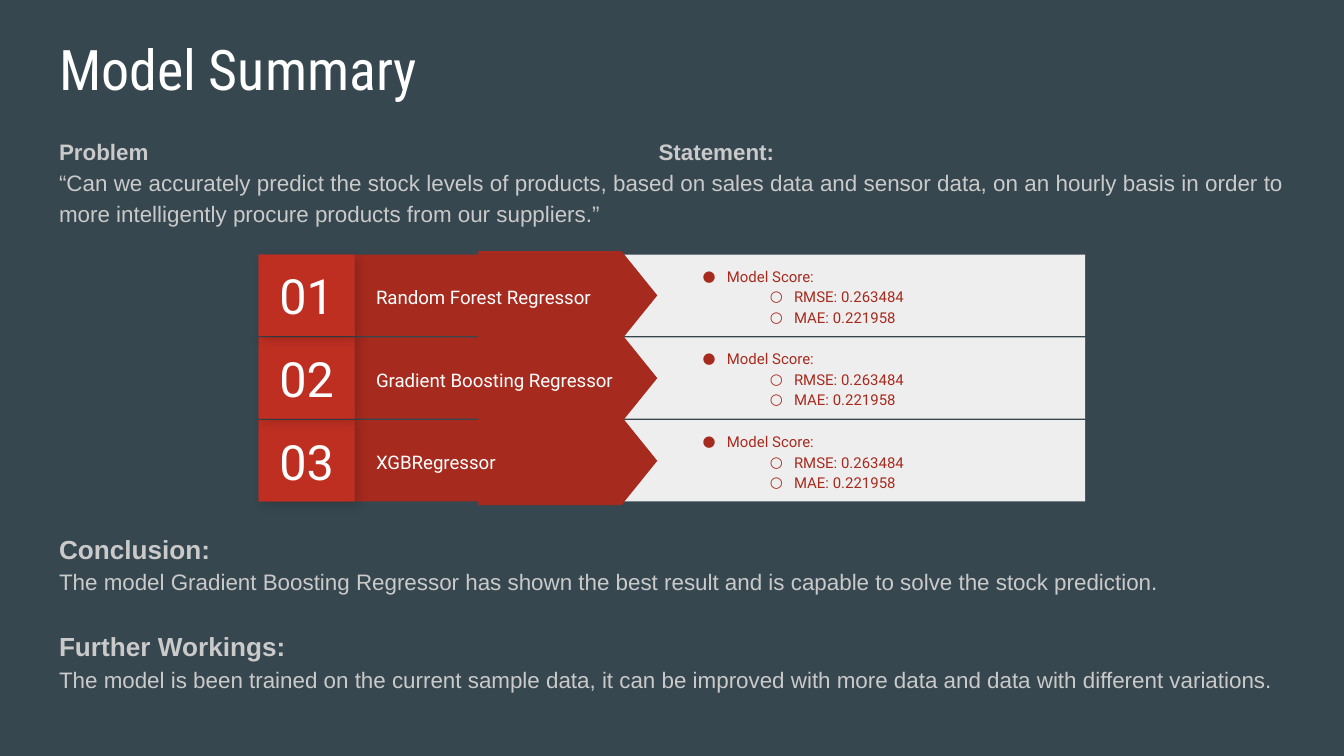
from dataclasses import dataclass

from lxml import etree
from pptx import Presentation
from pptx.dml.color import RGBColor
from pptx.enum.shapes import MSO_SHAPE
from pptx.enum.text import MSO_ANCHOR, PP_ALIGN
from pptx.oxml.ns import qn
from pptx.util import Inches, Pt

RECT = MSO_SHAPE.RECTANGLE
ARROW = MSO_SHAPE.FLOWCHART_OFFPAGE_CONNECTOR
TOP, MIDDLE = MSO_ANCHOR.TOP, MSO_ANCHOR.MIDDLE
LEFT, CENTER, JUSTIFY = PP_ALIGN.LEFT, PP_ALIGN.CENTER, PP_ALIGN.JUSTIFY

WIDTH = Inches(10)
HEIGHT = WIDTH * 9 // 16
# Vertical shares of the slide, in percent
FIRST, STEP, TALL = 33.7, 10.94, 10.75


@dataclass(frozen=True)
class Theme:
    back: str = "37474F"
    white: str = "FFFFFF"
    gray: str = "CACACA"
    pale: str = "EEEEEE"
    red: str = "A72A1E"
    shade: str = "B02C20"
    bright: str = "BE2F22"
    head: str = "Roboto Condensed"
    body: str = "Arial"
    font: str = "Roboto"
    title: int = 30
    digit: int = 26
    topic: int = 14
    prose: int = 12
    label: int = 10
    score: int = 8


THEME = Theme()
MODELS = ["Random Forest Regressor", "Gradient Boosting Regressor", "XGBRegressor"]
SCORES = ["Model Score:", "RMSE: 0.263484", "MAE: 0.221958"]


def place(x, y, w, h):
    """Turn percent shares of the slide into lengths."""
    return [int(side * share / 100) for side, share in
            zip((WIDTH, HEIGHT, WIDTH, HEIGHT), (x, y, w, h))]


def add_box(slide, *area, anchor=TOP):
    frame = slide.shapes.add_textbox(*place(*area)).text_frame
    return set_frame(frame, anchor)


def set_frame(frame, anchor):
    frame.word_wrap = True
    frame.vertical_anchor = anchor
    frame.margin_left = frame.margin_right = Inches(0.1)
    frame.margin_top = frame.margin_bottom = Inches(0.1)
    return frame


def add_shape(slide, kind, color, *area):
    shape = slide.shapes.add_shape(kind, *place(*area))
    shape.shadow.inherit = False
    shape.fill.solid()
    shape.fill.fore_color.rgb = RGBColor.from_string(color)
    shape.line.fill.background()
    return shape


def write(frame, text, size, color, font=THEME.font, bold=False,
          align=LEFT, lines=1.15, before=0):
    """Add a paragraph, using the empty first one when it is free."""
    para = frame.paragraphs[0]
    if para.runs:
        para = frame.add_paragraph()
    para.alignment = align
    para.line_spacing = lines
    para.space_before = Pt(before)
    add_run(para, text, size, color, font, bold)
    return para


def add_run(para, text, size, color, font, bold):
    run = para.add_run()
    run.text = text
    run.font.size = Pt(size)
    run.font.name = font
    run.font.bold = bold
    run.font.color.rgb = RGBColor.from_string(color)


def add_bullet(para, level, mark, color):
    para.level = level
    props = para._p.get_or_add_pPr()
    props.set("marL", str(Inches(0.5 * (level + 1))))
    props.set("indent", str(Inches(-0.18)))
    tint = etree.SubElement(props, qn("a:buClr"))
    etree.SubElement(tint, qn("a:srgbClr"), val=color)
    etree.SubElement(props, qn("a:buFont"), typeface=THEME.font)
    etree.SubElement(props, qn("a:buChar"), char=mark)


def add_shadow(shape):
    effects = shape._element.spPr.find(qn("a:effectLst"))
    outer = etree.SubElement(effects, qn("a:outerShdw"), blurRad=str(Pt(5.6)),
                             dist=str(Pt(2.2)), dir=str(45 * 60000),
                             algn="tl", rotWithShape="0")
    black = etree.SubElement(outer, qn("a:srgbClr"), val="000000")
    etree.SubElement(black, qn("a:alpha"), val="17000")


def add_row(slide, index, name):
    t = THEME
    top = FIRST + index * STEP
    add_shape(slide, RECT, t.pale, 41.3, top, 39.45, TALL)
    add_shape(slide, RECT, t.red, 26.4, top, 19, TALL)
    long = 23.67
    arrow = add_shape(slide, ARROW, t.red, 38.95, top + (TALL - long) / 2, 6.6, long)
    arrow.rotation = 270

    label = add_box(slide, 27, top + 1.2, 20, 8.36, anchor=MIDDLE)
    write(label, name, t.label, t.white)

    tile = 19.25, top, 7.15, TALL
    add_shadow(add_shape(slide, RECT, t.shade, *tile))
    front = add_shape(slide, RECT, t.bright, *tile)
    write(set_frame(front.text_frame, MIDDLE), f"{index + 1:02}", t.digit,
          t.white, align=CENTER, lines=1)

    scores = add_box(slide, 48.1, top, 30.7, TALL, anchor=MIDDLE)
    for text, level in zip(SCORES, (0, 1, 1)):
        para = write(scores, text, t.score, t.red)
        add_bullet(para, level, "●○"[level], t.red)


def add_problem(slide):
    t = THEME
    frame = add_box(slide, 3.41, 16, 93.2, 15.3)
    para = write(frame, "Problem Statement: ", t.prose, t.gray, t.body,
                 bold=True, align=JUSTIFY)
    para.add_line_break()
    add_run(para, "“Can we accurately predict the stock levels of products, based on "
            "sales data and sensor data, on an hourly basis in order to more "
            "intelligently procure products from our suppliers.”",
            t.prose, t.gray, t.body, False)


def add_close(slide):
    t = THEME
    frame = add_box(slide, 3.41, 68.1, 93.2, 28.1)
    topics = [
        ("Conclusion:", "The model Gradient Boosting Regressor has shown the best "
         "result and is capable to solve the stock prediction."),
        ("Further Workings:", "The model is been trained on the current sample data, "
         "it can be improved with more data and data with different variations."),
    ]
    for index, (topic, text) in enumerate(topics):
        write(frame, topic, t.topic, t.gray, t.body, bold=True, before=16.5 * index)
        write(frame, text, t.prose, t.gray, t.body)


def main():
    deck = Presentation()
    deck.slide_width, deck.slide_height = WIDTH, HEIGHT
    slide = deck.slides.add_slide(deck.slide_layouts[6])
    slide.background.fill.solid()
    slide.background.fill.fore_color.rgb = RGBColor.from_string(THEME.back)

    title = add_box(slide, 3.41, 2.75, 93.2, 11.2)
    write(title, "Model Summary", THEME.title, THEME.white, THEME.head, lines=1)
    add_problem(slide)
    for index, name in reversed(list(enumerate(MODELS))):
        add_row(slide, index, name)
    add_close(slide)
    deck.save("out.pptx")


if __name__ == "__main__":
    main()
